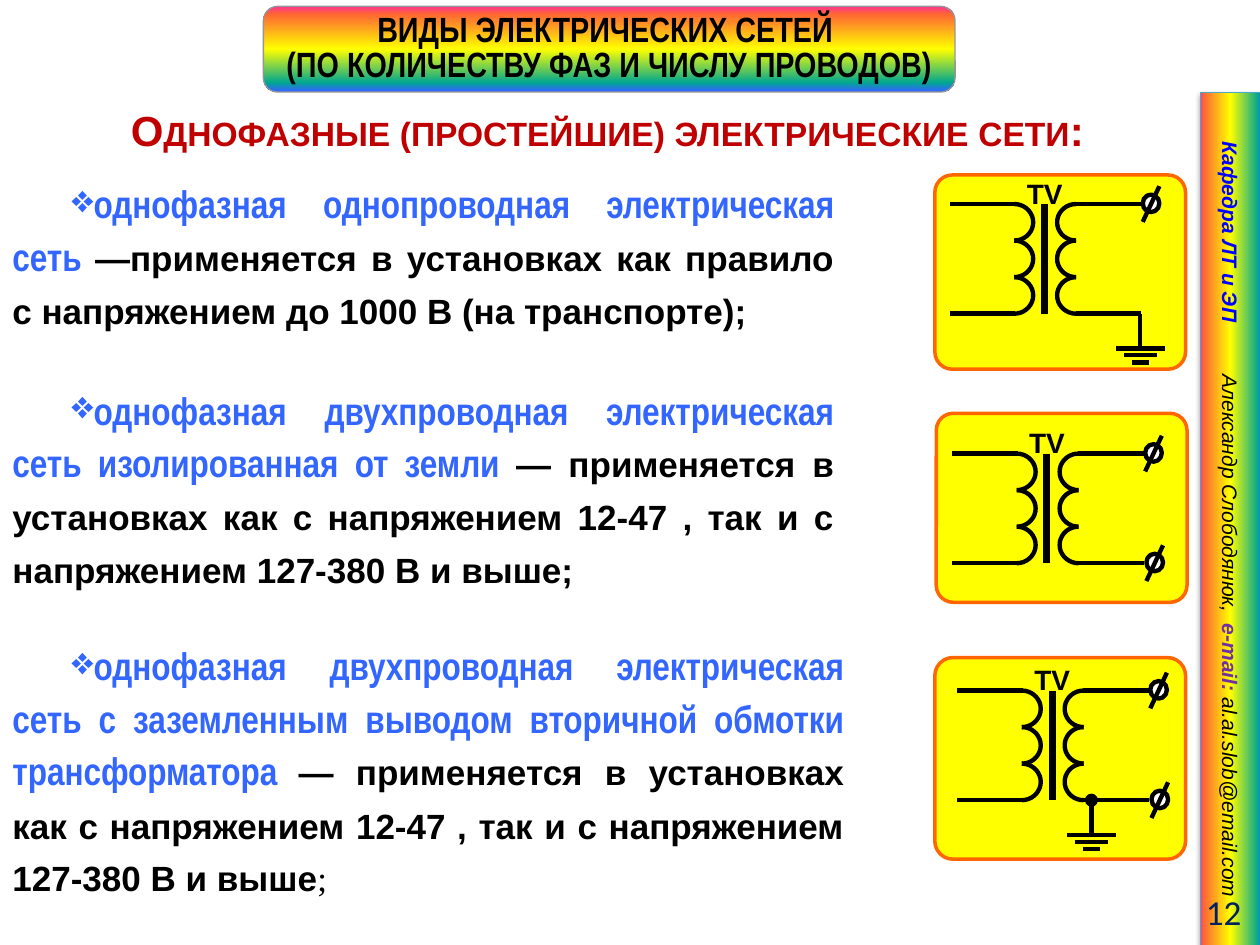
"""Build a slide on single-phase electrical networks with transformer diagrams."""
import math

from lxml import etree
from pptx import Presentation
from pptx.dml.color import RGBColor
from pptx.enum.shapes import MSO_CONNECTOR, MSO_SHAPE
from pptx.enum.text import MSO_ANCHOR, PP_ALIGN
from pptx.oxml.ns import qn
from pptx.util import Pt

RECTANGLE, ROUNDED, OVAL = MSO_SHAPE.RECTANGLE, MSO_SHAPE.ROUNDED_RECTANGLE, MSO_SHAPE.OVAL
STRAIGHT = MSO_CONNECTOR.STRAIGHT
MIDDLE, TOP = MSO_ANCHOR.MIDDLE, MSO_ANCHOR.TOP
LEFT, CENTER, RIGHT, JUSTIFY = PP_ALIGN.LEFT, PP_ALIGN.CENTER, PP_ALIGN.RIGHT, PP_ALIGN.JUSTIFY

COLORS = {
    "black": "000000", "white": "FFFFFF", "heading": "C00000", "term": "3366FF",
    "department": "0000FF", "email": "7030A0", "number": "002060", "yellow": "FFFF00",
    "panel_line": "FF6600", "title_line": "969696", "bar_line": "46AAC5",
    "pink": "FF3399", "orange": "FF6633", "green": "01A78F", "blue": "3366FF",
}
RAINBOW = ["pink", "orange", "yellow", "green", "blue"]
COIL, TURNS = 20.88, 3
LOW = COIL * TURNS
USAGE = "— применяется в установках как с напряжением 12-47 , так и с напряжением 127-380 В и выше"


def color(name):
    """Return a named colour."""
    return RGBColor.from_string(COLORS[name])


def add_element(parent, tag, **attributes):
    """Append a DrawingML element to a parent."""
    return etree.SubElement(parent, qn(tag), attributes)


def style_font(font, size=None, name=None, fill=None, bold=None, italic=None):
    """Set the given properties of a font."""
    for key, value in (("name", name), ("bold", bold), ("italic", italic)):
        if value is not None:
            setattr(font, key, value)
    if size:
        font.size = Pt(size)
    if fill:
        font.color.rgb = color(fill)


def add_run(paragraph, text, **style):
    """Add a styled run to a paragraph."""
    run = paragraph.add_run()
    run.text = text
    style_font(run.font, **style)
    return run


def set_frame(shape, anchor, inset=None):
    """Prepare a text frame and return its first paragraph."""
    frame = shape.text_frame
    frame.word_wrap = True
    frame.vertical_anchor = anchor
    if inset is not None:
        frame.margin_left = frame.margin_right = Pt(inset)
        frame.margin_top = frame.margin_bottom = Pt(inset)
    return frame.paragraphs[0]


def add_text_box(shapes, left, top, width, height, anchor=MIDDLE, inset=None, align=LEFT):
    """Add a text box and return its first paragraph."""
    box = shapes.add_textbox(Pt(left), Pt(top), Pt(width), Pt(height))
    paragraph = set_frame(box, anchor, inset)
    paragraph.alignment = align
    return paragraph


def add_shape(shapes, kind, left, top, width, height, fill, line, weight):
    """Add a preset shape with an outline and an optional solid fill."""
    shape = shapes.add_shape(kind, Pt(left), Pt(top), Pt(width), Pt(height))
    shape.shadow.inherit = False
    if fill:
        shape.fill.solid()
        shape.fill.fore_color.rgb = color(fill)
    shape.line.color.rgb = color(line)
    shape.line.width = Pt(weight)
    return shape


def fill_rainbow(shape, positions, angle):
    """Fill a shape with the rainbow gradient."""
    gradient = etree.Element(qn("a:gradFill"), rotWithShape="1")
    stops = add_element(gradient, "a:gsLst")
    for name, position in zip(RAINBOW, positions):
        stop = add_element(stops, "a:gs", pos=str(position * 1000))
        add_element(stop, "a:srgbClr", val=COLORS[name])
    add_element(gradient, "a:lin", ang=str(angle * 60000), scaled="0")
    shape.element.spPr.find(qn("a:prstGeom")).addnext(gradient)


def add_line(shapes, start, end, weight=2.5, dotted=False):
    """Add a black wire, with a dot at its start if wanted."""
    line = shapes.add_connector(STRAIGHT, *(Pt(value) for value in (*start, *end)))
    line.line.color.rgb = color("black")
    line.line.width = Pt(weight)
    properties = line.element.spPr
    if dotted:
        add_element(properties.find(qn("a:ln")), "a:headEnd", type="oval")
    add_element(properties, "a:effectLst")


def add_winding(shapes, x, y, direction):
    """Add a column of half-round turns bulging to one side."""
    for turn in range(TURNS):
        middle = y + COIL * (turn + 0.5)
        angles = [math.radians(degrees) for degrees in range(-90, 91, 10)]
        points = [(Pt(x + direction * 10.8 * math.cos(angle)),
                   Pt(middle + COIL / 2 * math.sin(angle))) for angle in angles]
        builder = shapes.build_freeform(*points[0])
        builder.add_line_segments(points[1:], close=False)
        arc = builder.convert_to_shape()
        arc.shadow.inherit = False
        arc.fill.background()
        arc.line.color.rgb = color("black")
        arc.line.width = Pt(2.5)


def add_terminal(shapes, x, y):
    """Add a ring crossed by a slash."""
    add_shape(shapes, OVAL, x, y - 5.4, 9.5, 10, "white", "black", 2.5)
    add_line(shapes, (x, y + 10.2), (x + 9.5, y - 10.2))


def add_ground(shapes, x, y, dotted):
    """Add an earthing symbol below a point."""
    add_line(shapes, (x, y), (x, y + 20), dotted=dotted)
    for width, drop in ((28, 20), (19, 23.8), (10, 28)):
        add_line(shapes, (x - width / 2, y + drop), (x + width / 2, y + drop))


def add_transformer(slide, panel, x, y, ground=None, second_terminal=True, dotted=False):
    """Add a panel with a transformer, its terminals and its earthing."""
    shapes = slide.shapes.add_group_shape().shapes
    frame = add_shape(shapes, ROUNDED, *panel, "yellow", "panel_line", 2)
    frame.adjustments[0] = 0.09
    add_winding(shapes, x, y, 1)
    add_winding(shapes, x + 35.3, y, -1)
    add_line(shapes, (x + 17.3, y), (x + 17.3, y + LOW), 4)
    for level in (y, y + LOW):
        add_line(shapes, (x - 37, level), (x + 0.5, level))
        add_line(shapes, (x + 72.5, level), (x + 35, level))
    add_terminal(shapes, x + 73.4, y)
    if second_terminal:
        add_terminal(shapes, x + 74.1, y + LOW)
    if ground is not None:
        add_ground(shapes, x + ground, y + LOW, dotted)
    label = add_text_box(shapes, x - 1.7, y - 16.8, 38, 21, inset=2.88, align=CENTER)
    label.text = "TV"
    label.space_after = Pt(10)
    style_font(label.font, 16, "Arial", "black", True)


def add_definition(slide, top, width, height, term, text, ending=""):
    """Add a bulleted definition with a highlighted term."""
    paragraph = add_text_box(slide.shapes, 0, top, width, height, TOP, align=JUSTIFY)
    paragraph.level = 1
    paragraph.line_spacing = Pt(30)
    properties = paragraph._p.get_or_add_pPr()
    properties.set("marL", "0")
    properties.set("indent", str(Pt(33.84)))
    add_element(properties, "a:buChar", char="❖")
    add_run(paragraph, term + " ", size=22, name="Arial Narrow", fill="term", bold=True)
    add_run(paragraph, text, size=20, name="Arial", fill="black", bold=True)
    if ending:
        add_run(paragraph, ending, size=20, name="Times New Roman", fill="black", bold=False)


def add_title(slide):
    """Add the rainbow title plate and the section heading."""
    plate = add_shape(slide.shapes, ROUNDED, 150.5, 3.6, 395.3, 49, None, "title_line", 0.75)
    fill_rainbow(plate, (0, 9, 50, 89, 99), 90)
    first = set_frame(plate, MIDDLE, 2.88)
    first.text = "ВИДЫ ЭЛЕКТРИЧЕСКИХ СЕТЕЙ "
    second = plate.text_frame.add_paragraph()
    second.text = "(ПО КОЛИЧЕСТВУ ФАЗ И ЧИСЛУ ПРОВОДОВ)"
    for paragraph in (first, second):
        paragraph.alignment = CENTER
        paragraph.line_spacing = Pt(20)
        style_font(paragraph.font, 20, "Arial Narrow", "black", True)
    heading = add_text_box(slide.shapes, 67.7, 56.2, 573.8, 36)
    style_font(heading.font, 24, "Arial", "heading", True)
    run = add_run(heading, "Однофазные (простейшие) электрические сети")
    run.font._element.set("cap", "small")
    add_run(heading, ":")


def add_side_bar(slide):
    """Add the vertical bar with the author's details and the slide number."""
    bar = add_shape(slide.shapes, RECTANGLE, 459.4, 279.4, 487.4, 34.6, None, "bar_line", 0.75)
    bar.rotation = 90
    fill_rainbow(bar, (0, 6, 50, 96, 100), 270)
    shadow = add_element(bar.element.spPr.find(qn("a:effectLst")), "a:outerShdw", dir="5400000",
                         blurRad=str(Pt(3.1)), dist=str(Pt(1.6)), rotWithShape="0")
    add_element(add_element(shadow, "a:srgbClr", val=COLORS["black"]), "a:alpha", val="38000")
    paragraph = set_frame(bar, MIDDLE)
    bar.text_frame.margin_left = Pt(28)
    paragraph.alignment = LEFT
    tabs = add_element(paragraph._p.get_or_add_pPr(), "a:tabLst")
    for position in (133, 275.5):
        add_element(tabs, "a:tab", pos=str(Pt(position)), algn="l")
    style_font(paragraph.font, 12, "Arial", italic=True)
    add_run(paragraph, "Кафедра ЛТ и ЭП\t", fill="department", bold=True)
    add_run(paragraph, "Александр Слободянюк,\t", fill="black", bold=False)
    add_run(paragraph, "e-mail: ", fill="email", bold=True)
    add_run(paragraph, "al.al.slob@email.com", fill="black", bold=False)
    number = add_text_box(slide.shapes, 637.9, 506.2, 78.5, 28.8, align=RIGHT)
    number.text = "12"
    style_font(number.font, 20, "Calibri", "number")


def main():
    """Build and save the slide."""
    presentation = Presentation()
    presentation.slide_width, presentation.slide_height = Pt(720), Pt(540)
    slide = presentation.slides.add_slide(presentation.slide_layouts[6])
    add_title(slide)
    add_definition(slide, 95.8, 483.8, 90, "однофазная однопроводная электрическая сеть",
                   "—применяется в установках как правило с напряжением до 1000 В (на транспорте);")
    add_definition(slide, 213.8, 483.8, 118,
                   "однофазная двухпроводная электрическая сеть изолированная от земли", USAGE + ";")
    add_definition(slide, 360, 489.6, 146, "однофазная двухпроводная электрическая сеть "
                   "с заземленным выводом вторичной обмотки трансформатора", USAGE, ";")
    add_side_bar(slide)
    add_transformer(slide, (535, 236.2, 143.3, 108), 581, 259.2)
    add_transformer(slide, (534.2, 100, 143.3, 111), 579.6, 116.6, 72, second_terminal=False)
    add_transformer(slide, (534.2, 375.8, 143.3, 115.2), 583.9, 394.6, 39.8, dotted=True)
    presentation.save("out.pptx")


if __name__ == "__main__":
    main()
